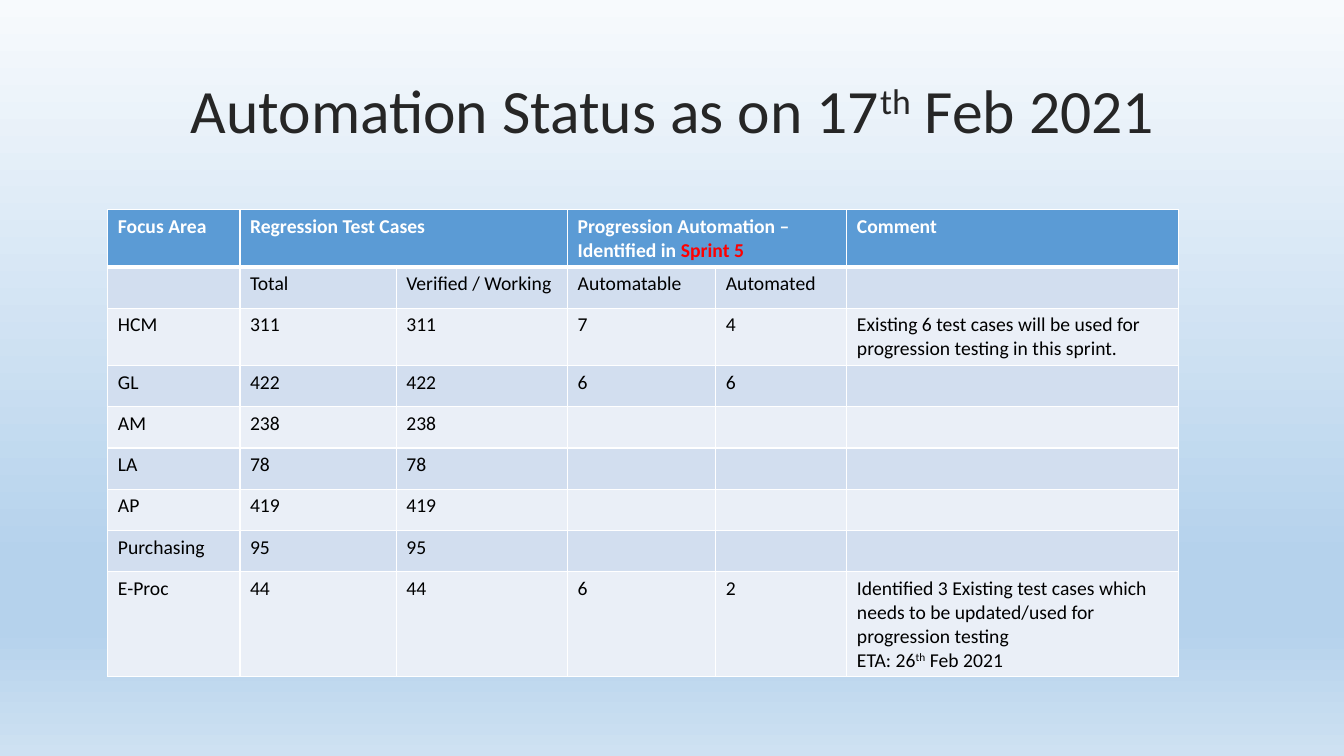
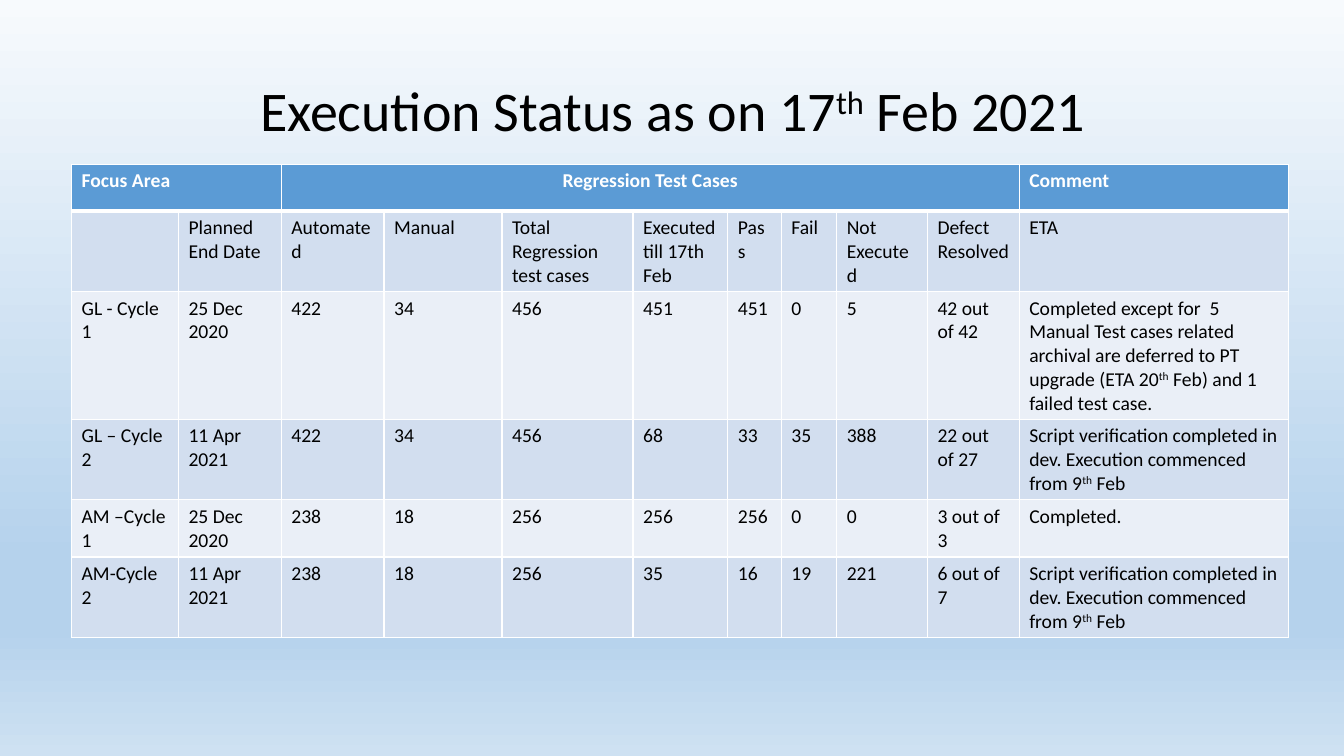
from lxml import etree
from pptx import Presentation
from pptx import util as u
from pptx.dml.color import RGBColor
from pptx.enum import text
from pptx.oxml.ns import qn

FONT = "Calibri"
BLACK, WHITE, RED = "000000", "FFFFFF", "FF0000"
HEADER, BANDS = "5B9BD5", ("EAEFF7", "D2DEEF")
BACKDROP = [(0, "F7FAFD"), (74, "B5D2EC"), (83, "B5D2EC"), (100, "CEE1F2")]
CENTER, LEFT = text.PP_ALIGN.CENTER, text.PP_ALIGN.LEFT


def rgb(value):
    return RGBColor.from_string(value)


def write(frame, content, size, color, bold=False, align=LEFT):
    # "|" separates spans; "^" raises a span and "!" turns it red
    for index, line in enumerate(content.split("\n")):
        para = frame.paragraphs[0] if index == 0 else frame.add_paragraph()
        para.alignment = align
        para.font.name, para.font.size, para.font.bold = FONT, u.Pt(size), bold
        para.font.color.rgb = rgb(color)
        for part in line.split("|"):
            span = para.add_run()
            span.text = part.lstrip("^!")
            if part.startswith("^"):
                span.font._element.set("baseline", "30000")
            elif part.startswith("!"):
                span.font.color.rgb = rgb(RED)


script_done = "Script verification completed in dev. Execution commenced from 9|^th| Feb"

reports = [
    {
        "title": "Automation Status as on 17|^th| Feb 2021",
        "size": 44, "color": "262626",
        "left": 1.07, "top": 2.08,
        "widths": [1.31, 1.55, 1.7, 1.47, 1.3, 3.29],
        "heights": [0.41] * 9,
        "header": [
            ("Focus Area", 1, LEFT),
            ("Regression Test Cases", 2, LEFT),
            ("Progression Automation – Identified in |!Sprint 5", 2, LEFT),
            ("Comment", 1, LEFT),
        ],
        "rows": [
            ["", "Total", "Verified / Working", "Automatable", "Automated", ""],
            ["HCM", "311", "311", "7", "4",
             "Existing 6 test cases will be used for progression testing in this sprint."],
            ["GL", "422", "422", "6", "6", ""],
            ["AM", "238", "238", "", "", ""],
            ["LA", "78", "78", "", "", ""],
            ["AP", "419", "419", "", "", ""],
            ["Purchasing", "95", "95", "", "", ""],
            ["E-Proc", "44", "44", "6", "2",
             "Identified 3 Existing test cases which needs to be updated/used for "
             "progression testing\nETA: 26|^th| Feb 2021"],
        ],
    },
    {
        "title": "Execution Status as on 17|^th| Feb 2021",
        "size": 40, "color": BLACK,
        "left": 0.71, "top": 1.63,
        "widths": [1.06, 1.02, 1.02, 1.17, 1.3, 0.94, 0.53, 0.55, 0.9, 0.91, 2.67],
        "heights": [0.46, 0.68, 0.68, 0.49, 0.46, 0.49],
        "header": [
            ("Focus Area", 2, LEFT),
            ("Regression Test Cases", 8, CENTER),
            ("Comment", 1, LEFT),
        ],
        "rows": [
            ["", "Planned End Date", "Automated", "Manual", "Total Regression test cases",
             "Executed till 17th Feb", "Pass", "Fail", "Not Executed", "Defect Resolved", "ETA"],
            ["GL - Cycle 1", "25 Dec 2020", "422", "34", "456", "451", "451", "0", "5",
             "42 out of 42",
             "Completed except for  5 Manual Test cases related archival are deferred to PT "
             "upgrade (ETA 20|^th| Feb) and 1 failed test case."],
            ["GL – Cycle 2", "11 Apr 2021", "422", "34", "456", "68", "33", "35", "388",
             "22 out of 27", script_done],
            ["AM –Cycle 1", "25 Dec 2020", "238", "18", "256", "256", "256", "0", "0",
             "3 out of  3", "Completed."],
            ["AM-Cycle 2", "11 Apr 2021", "238", "18", "256", "35", "16", "19", "221",
             "6 out of 7", script_done],
        ],
    },
]

deck = Presentation()
deck.slide_width, deck.slide_height = u.Inches(13.33), u.Inches(7.5)

backdrop = deck.slide_master.background.fill
backdrop.gradient()
backdrop.gradient_angle = 270
stops = deck.slide_master.element.find(".//" + qn("p:bgPr")).find(".//" + qn("a:gsLst"))
for stop in list(stops):
    stops.remove(stop)
for position, color in BACKDROP:
    stop = etree.SubElement(stops, qn("a:gs"), pos=str(position * 1000))
    etree.SubElement(stop, qn("a:srgbClr"), val=color)

for report in reports:
    page = deck.slides.add_slide(deck.slide_layouts[6])

    title = page.shapes.add_textbox(u.Inches(0.92), u.Inches(0.4), u.Inches(11.5), u.Inches(1.45))
    title.text_frame.word_wrap = True
    title.text_frame.vertical_anchor = text.MSO_ANCHOR.MIDDLE
    write(title.text_frame, report["title"], report["size"], report["color"], align=CENTER)
    title.text_frame.paragraphs[0].line_spacing = 0.9

    widths, heights = report["widths"], report["heights"]
    table = page.shapes.add_table(
        len(heights), len(widths), u.Inches(report["left"]), u.Inches(report["top"]),
        u.Inches(sum(widths)), u.Inches(sum(heights))).table
    for column, width in zip(table.columns, widths):
        column.width = u.Inches(width)
    for row, height in zip(table.rows, heights):
        row.height = u.Inches(height)

    for r in range(len(heights)):
        for c in range(len(widths)):
            cell = table.cell(r, c)
            properties = cell._tc.get_or_add_tcPr()
            for side in ("L", "R", "T", "B"):
                thick = (r, side) in ((0, "B"), (1, "T"))
                line = etree.SubElement(properties, qn("a:ln" + side),
                                        w=str(u.Pt(3 if thick else 1)))
                paint = etree.SubElement(line, qn("a:solidFill"))
                etree.SubElement(paint, qn("a:srgbClr"), val=WHITE)
            cell.fill.solid()
            cell.fill.fore_color.rgb = rgb(BANDS[r % 2] if r else HEADER)

    start = 0
    for label, count, align in report["header"]:
        cell = table.cell(0, start)
        if count > 1:
            cell.merge(table.cell(0, start + count - 1))
        write(cell.text_frame, label, 14, WHITE, bold=True, align=align)
        start += count

    for r, values in enumerate(report["rows"], 1):
        for c, value in enumerate(values):
            if value:
                write(table.cell(r, c).text_frame, value, 14, BLACK)

deck.save("out.pptx")
